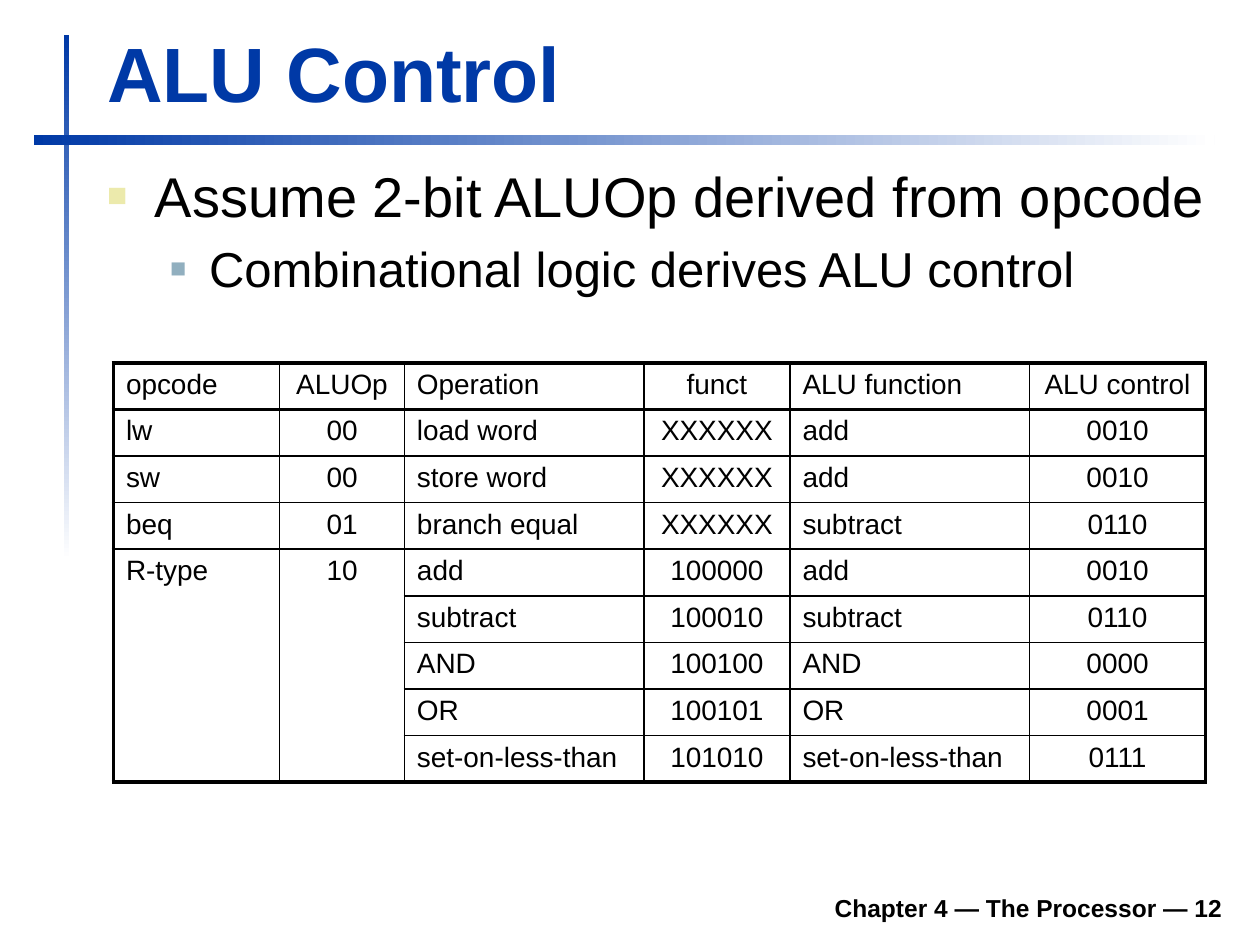
from lxml.etree import SubElement
from pptx import Presentation
from pptx.dml.color import RGBColor
from pptx.enum.shapes import MSO_SHAPE
from pptx.enum.text import MSO_ANCHOR, MSO_AUTO_SIZE, PP_ALIGN
from pptx.oxml.ns import qn
from pptx.util import Inches, Pt

COLORS = {"blue": "0039A6", "white": "FFFFFF", "black": "000000",
          "sand": "ECEAAC", "steel": "91AFBF"}


def style(para, size, color="black", bold=False):
    para.font.name = "Arial"
    para.font.size = Pt(size)
    para.font.bold = bold
    para.font.color.rgb = RGBColor.from_string(COLORS[color])


def add_border(cell, side, width):
    line = SubElement(cell._tc.get_or_add_tcPr(), qn(f"a:ln{side}"), w=str(Pt(width)))
    fill = SubElement(line, qn("a:solidFill"))
    SubElement(fill, qn("a:srgbClr"), val=COLORS["black"])


deck = Presentation()
deck.slide_width, deck.slide_height = Inches(10), Inches(7.5)
page = deck.slides.add_slide(deck.slide_layouts[1])

rules = [(0.51, 0.28, 0.04, 4.17, 270), (0.27, 1.07, 9.37, 0.08, 0)]
for left, top, width, height, angle in rules:
    rule = page.shapes.add_shape(MSO_SHAPE.RECTANGLE, Inches(left), Inches(top),
                                 Inches(width), Inches(height))
    rule.shadow.inherit = False
    rule.line.fill.background()
    rule.fill.gradient()
    rule.fill.gradient_angle = angle
    for stop, position, color in zip(rule.fill.gradient_stops, (0, 1), ("blue", "white")):
        stop.position = position
        stop.color.rgb = RGBColor.from_string(COLORS[color])

footer = page.shapes.add_textbox(Inches(1.85), Inches(6.98), Inches(7.95), Inches(0.39))
footer.text_frame.word_wrap = True
footer.text_frame.vertical_anchor = MSO_ANCHOR.BOTTOM
para = footer.text_frame.paragraphs[0]
para.text = "Chapter 4 — The Processor — 12"
para.alignment = PP_ALIGN.RIGHT
style(para, 14, bold=True)

title = page.shapes.title
title.left, title.top, title.width, title.height = (
    Inches(0.75), Inches(0.16), Inches(9.03), Inches(0.83))
title.text_frame.auto_size = MSO_AUTO_SIZE.NONE
title.text_frame.vertical_anchor = MSO_ANCHOR.BOTTOM
para = title.text_frame.paragraphs[0]
para.text = "ALU Control"
para.alignment = PP_ALIGN.LEFT
style(para, 44, "blue", bold=True)

body = page.placeholders[1]
body.left, body.top, body.width, body.height = (
    Inches(0.75), Inches(1.23), Inches(9.05), Inches(5.59))
body.text_frame.auto_size = MSO_AUTO_SIZE.NONE
body.text_frame.text = ("Assume 2-bit ALUOp derived from opcode\n"
                        "Combinational logic derives ALU control")
bullets = [(32, 0.38, 0.38, "sand", 60), (28, 0.81, 0.31, "steel", 55)]
for level, (para, bullet) in enumerate(zip(body.text_frame.paragraphs, bullets)):
    size, margin, hanging, color, percent = bullet
    para.level = level
    style(para, size)
    properties = para._p.get_or_add_pPr()
    properties.set("marL", str(Inches(margin)))
    properties.set("indent", str(-Inches(hanging)))
    bullet_color = SubElement(properties, qn("a:buClr"))
    SubElement(bullet_color, qn("a:srgbClr"), val=COLORS[color])
    SubElement(properties, qn("a:buSzPct"), val=str(percent * 1000))
    SubElement(properties, qn("a:buFont"), typeface="Arial")
    SubElement(properties, qn("a:buChar"), char="■")
    defaults = properties.find(qn("a:defRPr"))
    if defaults is not None:
        properties.append(defaults)

rows = [
    ("opcode", "ALUOp", "Operation", "funct", "ALU function", "ALU control"),
    ("lw", "00", "load word", "XXXXXX", "add", "0010"),
    ("sw", "00", "store word", "XXXXXX", "add", "0010"),
    ("beq", "01", "branch equal", "XXXXXX", "subtract", "0110"),
    ("R-type", "10", "add", "100000", "add", "0010"),
    ("", "", "subtract", "100010", "subtract", "0110"),
    ("", "", "AND", "100100", "AND", "0000"),
    ("", "", "OR", "100101", "OR", "0001"),
    ("", "", "set-on-less-than", "101010", "set-on-less-than", "0111"),
]
widths = [1.32, 0.99, 1.9, 1.16, 1.9, 1.4]
merge_row, last_row, last_column = 4, len(rows) - 1, len(widths) - 1
table = page.shapes.add_table(len(rows), len(widths), Inches(0.9), Inches(2.88),
                              Inches(8.66), Inches(3.31)).table
table.first_row = table.horz_banding = False
for column, width in zip(table.columns, widths):
    column.width = Inches(width)
for column in (0, 1):
    table.cell(merge_row, column).merge(table.cell(last_row, column))

row_lines = [2.25, 1.5] + [1] * (last_row - 1) + [2.25]
column_lines = [2.25] + [1] * last_column + [2.25]
for r, texts in enumerate(rows):
    table.rows[r].height = Inches(0.37)
    for c, text in enumerate(texts):
        cell = table.cell(r, c)
        if cell.is_spanned:
            continue
        add_border(cell, "L", column_lines[c])
        add_border(cell, "R", column_lines[c + 1])
        add_border(cell, "T", row_lines[r])
        add_border(cell, "B", row_lines[r + cell.span_height])
        cell.fill.background()
        para = cell.text_frame.paragraphs[0]
        para.text = text
        para.alignment = PP_ALIGN.CENTER if c % 2 else PP_ALIGN.LEFT
        style(para, 16)

deck.save("out.pptx")
